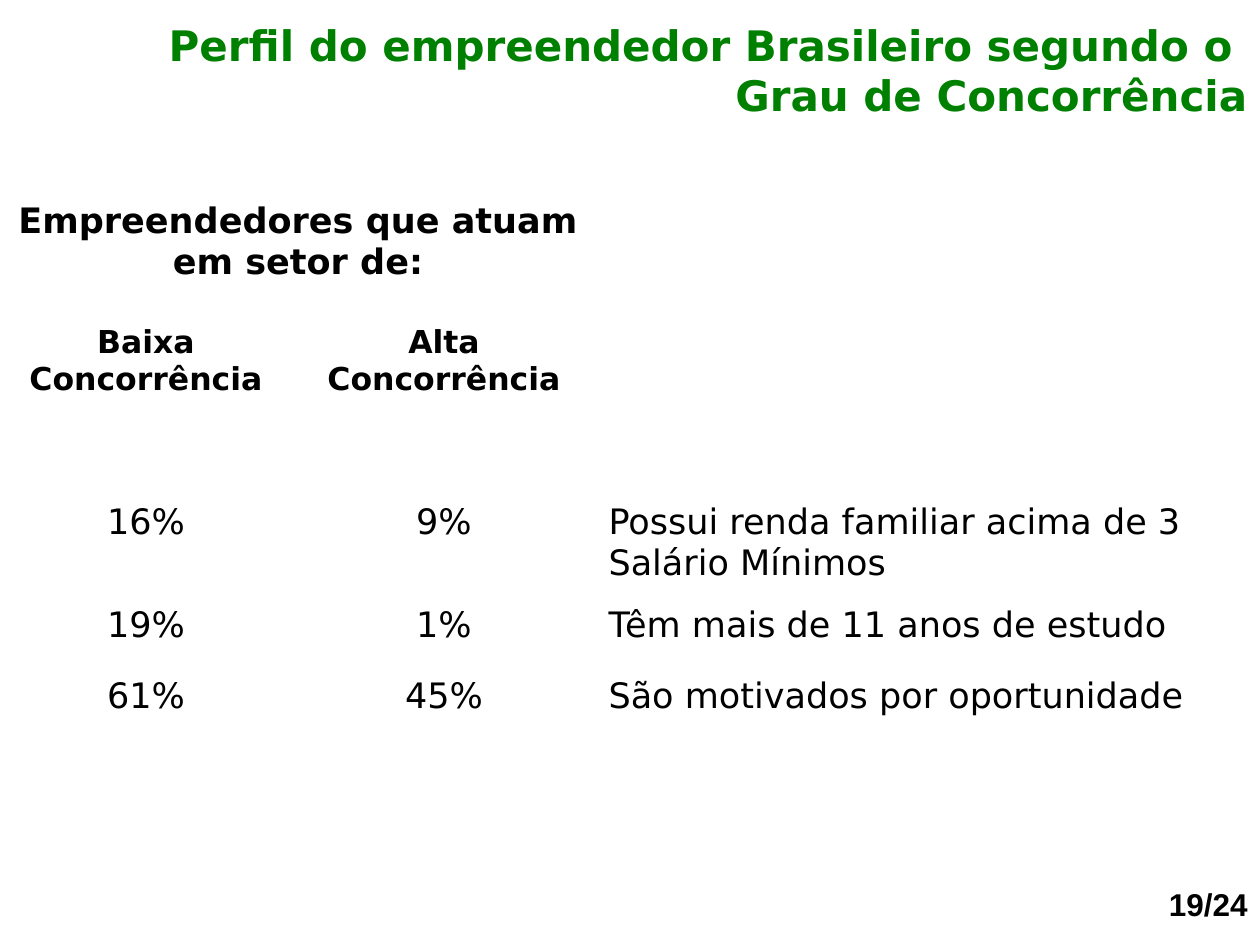
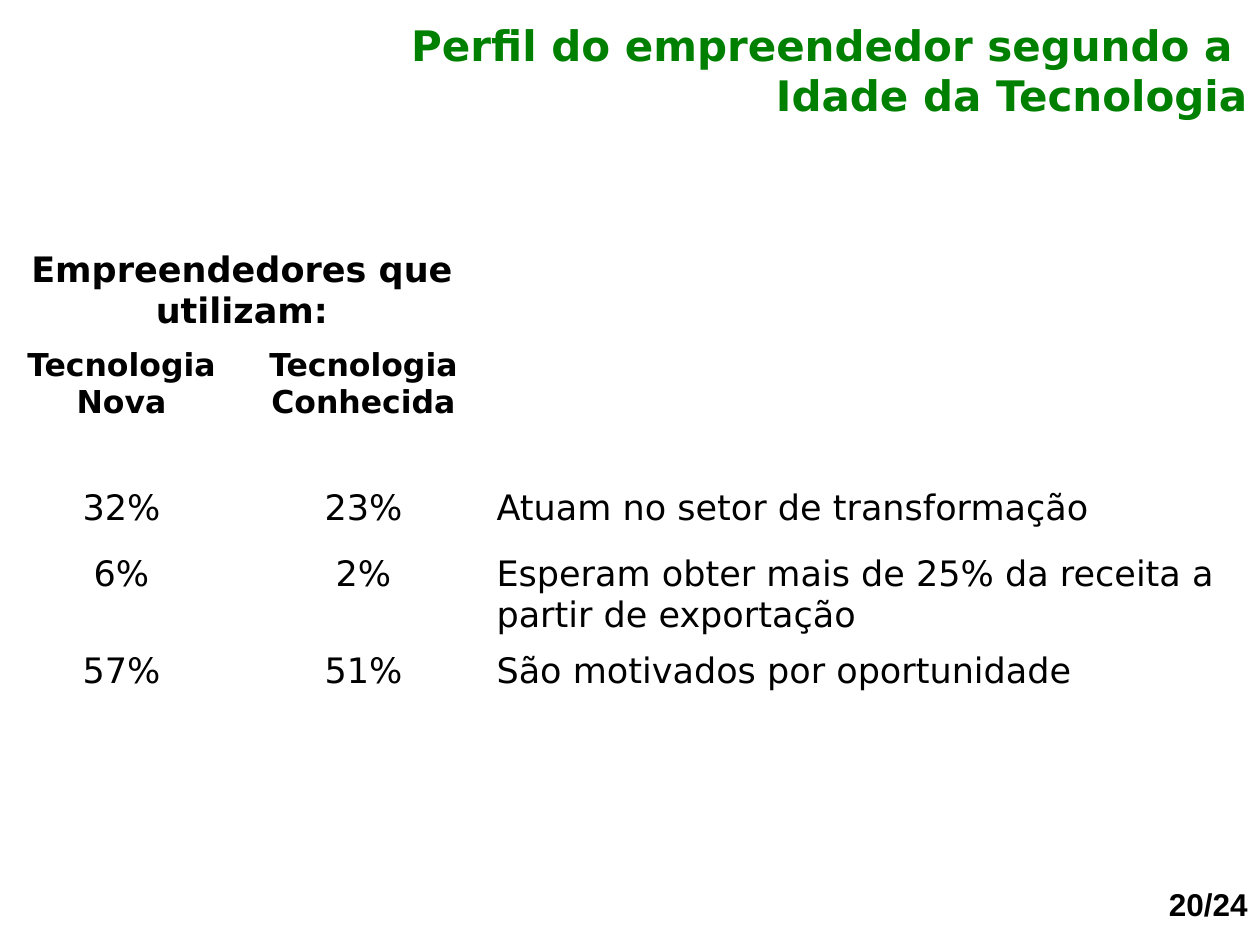
from pptx import Presentation
from pptx.dml.color import RGBColor
from pptx.enum.text import MSO_ANCHOR, MSO_AUTO_SIZE, PP_ALIGN
from pptx.util import Pt

LEFT, MID, RIGHT = PP_ALIGN.LEFT, PP_ALIGN.CENTER, PP_ALIGN.RIGHT
MIDDLE = MSO_ANCHOR.MIDDLE
FIXED = MSO_AUTO_SIZE.NONE

GREEN = RGBColor(0x00, 0x80, 0x00)
BLACK = RGBColor(0x00, 0x00, 0x00)
SCALE = 914400 / 126
WIDE, HIGH = 1260, 945
TOTAL = 24

# Text styles shared by the slides
HEAD = {"name": "DejaVu Sans", "size": Pt(24), "bold": True}
GROUP = {"name": "DejaVu Sans", "size": Pt(20), "bold": True}
LABEL = {"name": "DejaVu Sans", "size": Pt(18), "bold": True}
BODY = {"name": "DejaVu Sans", "size": Pt(20), "bold": False}
PAGE = {"name": "Arial", "size": Pt(18), "bold": True}

SLIDES = [
    {
        "title": ["Perfil do empreendedor Brasileiro segundo o ",
                  "Grau de Concorrência"],
        "top": 195,
        "cols": [292, 304, 664],
        "rows": [123, 178, 103, 71, 72],
        "cells": [
            ["Empreendedores que atuam em setor de:"],
            ["Baixa Concorrência", "Alta Concorrência"],
            ["16%", "9%", "Possui renda familiar acima de 3 Salário Mínimos"],
            ["19%", "1%", "Têm mais de 11 anos de estudo"],
            ["61%", "45%", "São motivados por oportunidade"],
        ],
        "page": 19,
    },
    {
        "title": ["Perfil do empreendedor segundo a ",
                  "Idade da Tecnologia"],
        "top": 244,
        "cols": [243, 241, 776],
        "rows": [97, 141, 66, 97, 55, 55],
        "cells": [
            ["Empreendedores que utilizam:"],
            ["Tecnologia Nova", "Tecnologia Conhecida"],
            ["32%", "23%", "Atuam no setor de transformação"],
            ["6%", "2%", "Esperam obter mais de 25% da receita a "
                         "partir de exportação"],
            ["57%", "51%", "São motivados por oportunidade"],
        ],
        "page": 20,
    },
]


def px(num):
    return round(num * SCALE)


def box(*nums):
    return [px(num) for num in nums]


def write(frame, lines, style, align, color=BLACK, before=0):
    """Fill a text frame, one paragraph for each line."""
    frame.word_wrap = True
    for num, line in enumerate(lines):
        para = frame.add_paragraph() if num else frame.paragraphs[0]
        para.alignment = align
        para.space_before = Pt(before)
        run = para.add_run()
        run.text = line
        for key, value in style.items():
            setattr(run.font, key, value)
        run.font.color.rgb = color


def add_title(slide, lines):
    title = slide.shapes.title
    title.left, title.top, title.width, title.height = box(0, 0, WIDE, 139)
    frame = title.text_frame
    frame.auto_size = FIXED
    frame.vertical_anchor = MIDDLE
    write(frame, lines, HEAD, RIGHT, GREEN)


def add_grid(slide, data):
    cols, rows = data["cols"], data["rows"]
    area = box(0, data["top"], sum(cols), sum(rows))
    table = slide.shapes.add_table(len(rows), len(cols), *area).table
    table.first_row = table.horz_banding = False
    for col, width in zip(table.columns, cols):
        col.width = px(width)
    for row, height in zip(table.rows, rows):
        row.height = px(height)
    for cell in table.iter_cells():
        cell.fill.background()

    # The group heading spans both value columns
    table.cell(0, 0).merge(table.cell(0, 1))
    for r, texts in enumerate(data["cells"]):
        style = (GROUP, LABEL)[r] if r < 2 else BODY
        before = style["size"].pt / 4
        for c, text in enumerate(texts):
            align = MID if c < 2 else LEFT
            write(table.cell(r, c).text_frame, [text], style, align,
                  before=before)


def add_page(slide, num):
    label = slide.shapes.add_textbox(*box(1037, 879, 223, 50))
    write(label.text_frame, [f"{num}/{TOTAL}"], PAGE, RIGHT, before=11.2)


def main():
    deck = Presentation()
    deck.slide_width, deck.slide_height = box(WIDE, HIGH)
    layout = deck.slide_layouts.get_by_name("Title Only")
    for data in SLIDES:
        slide = deck.slides.add_slide(layout)
        add_title(slide, data["title"])
        add_grid(slide, data)
        add_page(slide, data["page"])
    deck.save("out.pptx")


if __name__ == "__main__":
    main()
